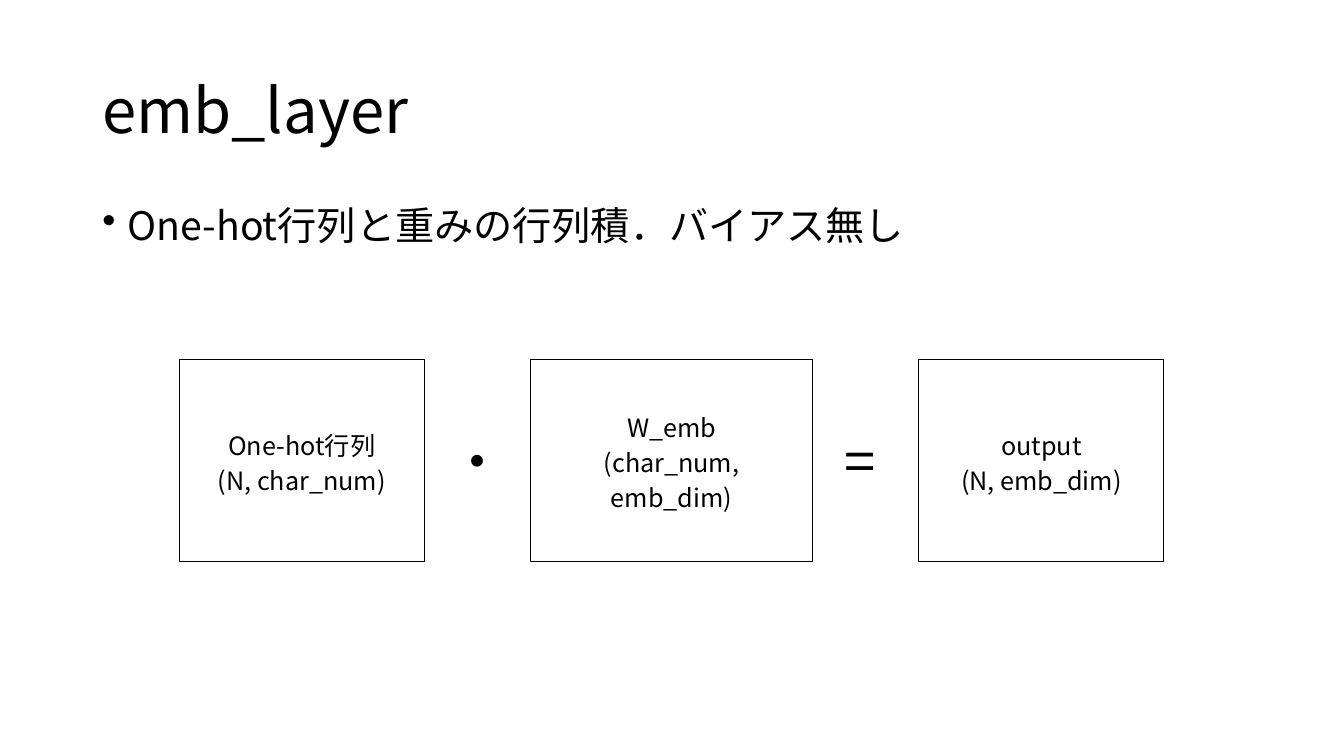
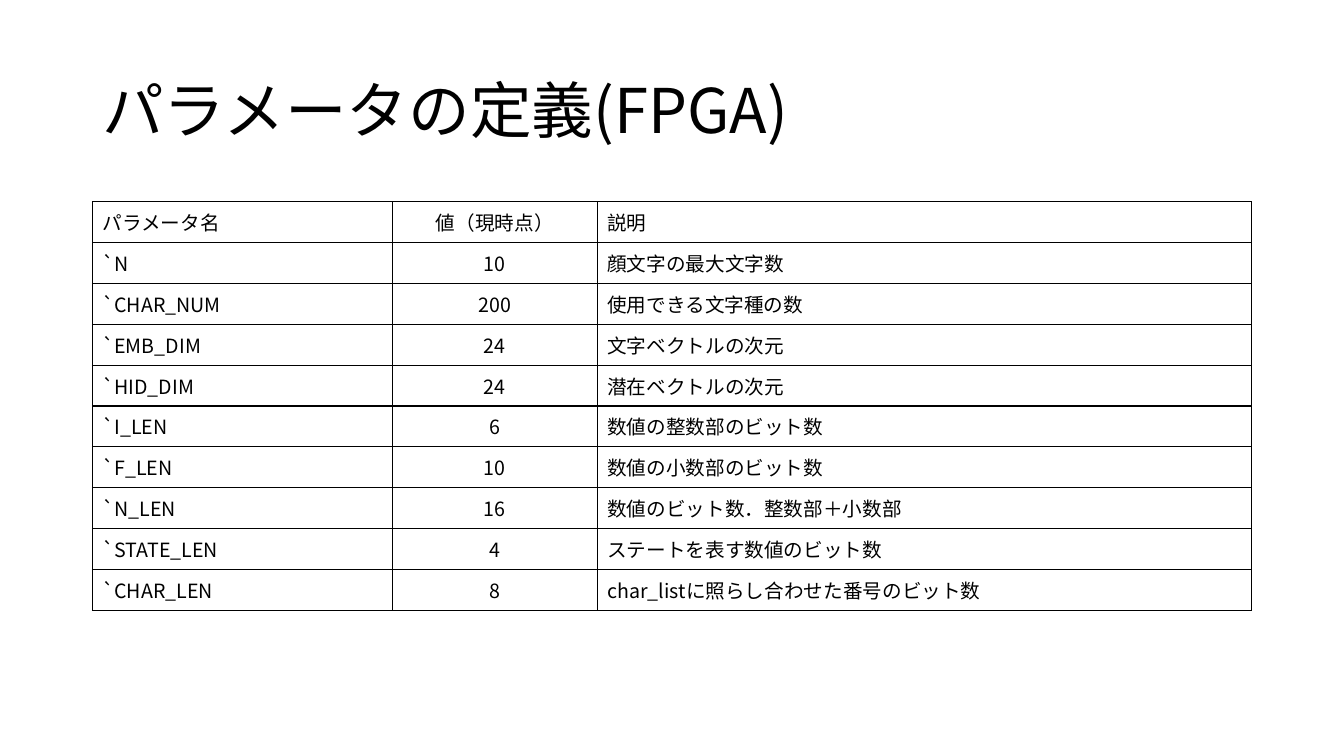
from dataclasses import dataclass

from lxml import etree
from pptx import Presentation
from pptx.dml.color import RGBColor
from pptx.enum.shapes import MSO_SHAPE
from pptx.enum.text import MSO_ANCHOR, MSO_AUTO_SIZE, PP_ALIGN
from pptx.oxml.ns import qn
from pptx.util import Cm, Pt

RECT = MSO_SHAPE.RECTANGLE
MIDDLE = MSO_ANCHOR.MIDDLE
LEFT, CENTER = PP_ALIGN.LEFT, PP_ALIGN.CENTER
FIT_SHAPE = MSO_AUTO_SIZE.SHAPE_TO_FIT_TEXT


@dataclass(frozen=True)
class Theme:
    font: str = "Noto Sans CJK JP"
    ink: RGBColor = RGBColor(0, 0, 0)
    title: Pt = Pt(44)
    symbol: Pt = Pt(40)
    body: Pt = Pt(28)
    box: Pt = Pt(18)
    cell: Pt = Pt(14)
    box_leading: Pt = Pt(25)
    box_line: Pt = Pt(0.75)
    cell_line: Pt = Pt(1)


THEME = Theme()

# Regions as left, top, width, height in centimetres
TITLE_BOX = (2.33, 1.01, 29.21, 3.68)
CONTENT_BOX = (2.33, 5.08, 29.21, 12.09)
EQUATION_BOX = (4.52, 9.05, 24.81, 5.11)

EQUATION = [
    ("One-hot行列", "(N, char_num)"),
    ("W_emb", "(char_num, emb_dim)"),
    ("output", "(N, emb_dim)"),
]
FACTOR_WIDTHS = (6.17, 7.09, 6.17)
SYMBOLS = [("・", 1.93), ("=", 1.55)]
SYMBOL_HEIGHT = 1.96

COLUMN_WIDTHS = (7.56, 5.16, 16.49)
COLUMN_ALIGNS = (LEFT, CENTER, LEFT)
ROW_HEIGHT = 1.03
PARAMETERS = [
    ("パラメータ名", "値（現時点）", "説明"),
    ("`N", "10", "顔文字の最大文字数"),
    ("`CHAR_NUM", "200", "使用できる文字種の数"),
    ("`EMB_DIM", "24", "文字ベクトルの次元"),
    ("`HID_DIM", "24", "潜在ベクトルの次元"),
    ("`I_LEN", "6", "数値の整数部のビット数"),
    ("`F_LEN", "10", "数値の小数部のビット数"),
    ("`N_LEN", "16", "数値のビット数．整数部＋小数部"),
    ("`STATE_LEN", "4", "ステートを表す数値のビット数"),
    ("`CHAR_LEN", "8", "char_listに照らし合わせた番号のビット数"),
]


def cm_box(box):
    return [Cm(length) for length in box]


def write(tf, lines, size, align=LEFT, spacing=None):
    """Fill a text frame with one paragraph per line."""
    for i, line in enumerate(lines):
        p = tf.add_paragraph() if i else tf.paragraphs[0]
        p.text = line
        p.alignment = align
        if spacing:
            p.line_spacing = spacing
        p.font.size = size
        p.font.color.rgb = THEME.ink
        p.font.name = THEME.font
        # East Asian glyphs need the typeface too
        latin = p.font._element.find(qn("a:latin"))
        ea = etree.Element(qn("a:ea"), typeface=THEME.font)
        latin.addnext(ea)


def add_text(s, box, line, size, align=LEFT, spacing=None):
    tf = s.shapes.add_textbox(*cm_box(box)).text_frame
    tf.word_wrap = True
    write(tf, [line], size, align, spacing)
    return tf


def add_title(s, box, text):
    tf = add_text(s, box, text, THEME.title, spacing=0.9)
    tf.vertical_anchor = MIDDLE


def add_bullet(s, box, text):
    p = add_text(s, box, text, THEME.body, spacing=0.9).paragraphs[0]
    p.space_before = Pt(10)
    pPr = p._p.get_or_add_pPr()
    pPr.set("marL", str(Cm(0.64)))
    pPr.set("indent", str(-Cm(0.64)))
    bullet = etree.Element(qn("a:buChar"), char="•")
    pPr.find(qn("a:defRPr")).addprevious(bullet)


def add_factor(s, box, lines):
    sp = s.shapes.add_shape(RECT, *cm_box(box))
    sp.shadow.inherit = False
    sp.fill.background()
    sp.line.color.rgb = THEME.ink
    sp.line.width = THEME.box_line
    tf = sp.text_frame
    tf.word_wrap = True
    tf.vertical_anchor = MIDDLE
    write(tf, lines, THEME.box, CENTER, THEME.box_leading)


def add_symbol(s, center_x, center_y, width, text):
    box = (center_x - width / 2, center_y - SYMBOL_HEIGHT / 2,
           width, SYMBOL_HEIGHT)
    tf = add_text(s, box, text, THEME.symbol)
    tf.word_wrap = False
    tf.auto_size = FIT_SHAPE
    tf.vertical_anchor = MIDDLE


def add_equation(s, box):
    """Spread the matrices over the box, with a symbol in each gap."""
    x, top, width, height = box
    gap = (width - sum(FACTOR_WIDTHS)) / len(SYMBOLS)
    for i, (lines, w) in enumerate(zip(EQUATION, FACTOR_WIDTHS)):
        add_factor(s, (x, top, w, height), lines)
        x += w
        if i < len(SYMBOLS):
            symbol, symbol_width = SYMBOLS[i]
            add_symbol(s, x + gap / 2, top + height / 2, symbol_width, symbol)
        x += gap


def add_borders(cell):
    tcPr = cell._tc.get_or_add_tcPr()
    for i, side in enumerate(("lnL", "lnR", "lnT", "lnB")):
        ln = etree.Element(qn(f"a:{side}"), w=str(THEME.cell_line))
        fill = etree.SubElement(ln, qn("a:solidFill"))
        etree.SubElement(fill, qn("a:srgbClr"), val=str(THEME.ink))
        tcPr.insert(i, ln)


def add_parameter_table(s, box, rows):
    left, top, width, _ = box
    frame = s.shapes.add_table(
        len(rows), len(COLUMN_WIDTHS),
        *cm_box((left, top, width, ROW_HEIGHT * len(rows))))
    table = frame.table
    table.first_row = table.horz_banding = False
    for column, w in zip(table.columns, COLUMN_WIDTHS):
        column.width = Cm(w)
    for row, texts in zip(table.rows, rows):
        row.height = Cm(ROW_HEIGHT)
        for cell, text, align in zip(row.cells, texts, COLUMN_ALIGNS):
            cell.fill.background()
            cell.vertical_anchor = MIDDLE
            write(cell.text_frame, [text], THEME.cell, align)
            add_borders(cell)


def new_slide(prs, title):
    s = prs.slides.add_slide(prs.slide_layouts[6])
    add_title(s, TITLE_BOX, title)
    return s


def main():
    prs = Presentation()
    prs.slide_width, prs.slide_height = Cm(33.87), Cm(19.05)

    # Embedding layer as a matrix product
    s = new_slide(prs, "emb_layer")
    add_bullet(s, CONTENT_BOX, "One-hot行列と重みの行列積．バイアス無し")
    add_equation(s, EQUATION_BOX)

    # Parameter definitions
    s = new_slide(prs, "パラメータの定義(FPGA)")
    add_parameter_table(s, CONTENT_BOX, PARAMETERS)

    prs.save("out.pptx")


if __name__ == "__main__":
    main()
